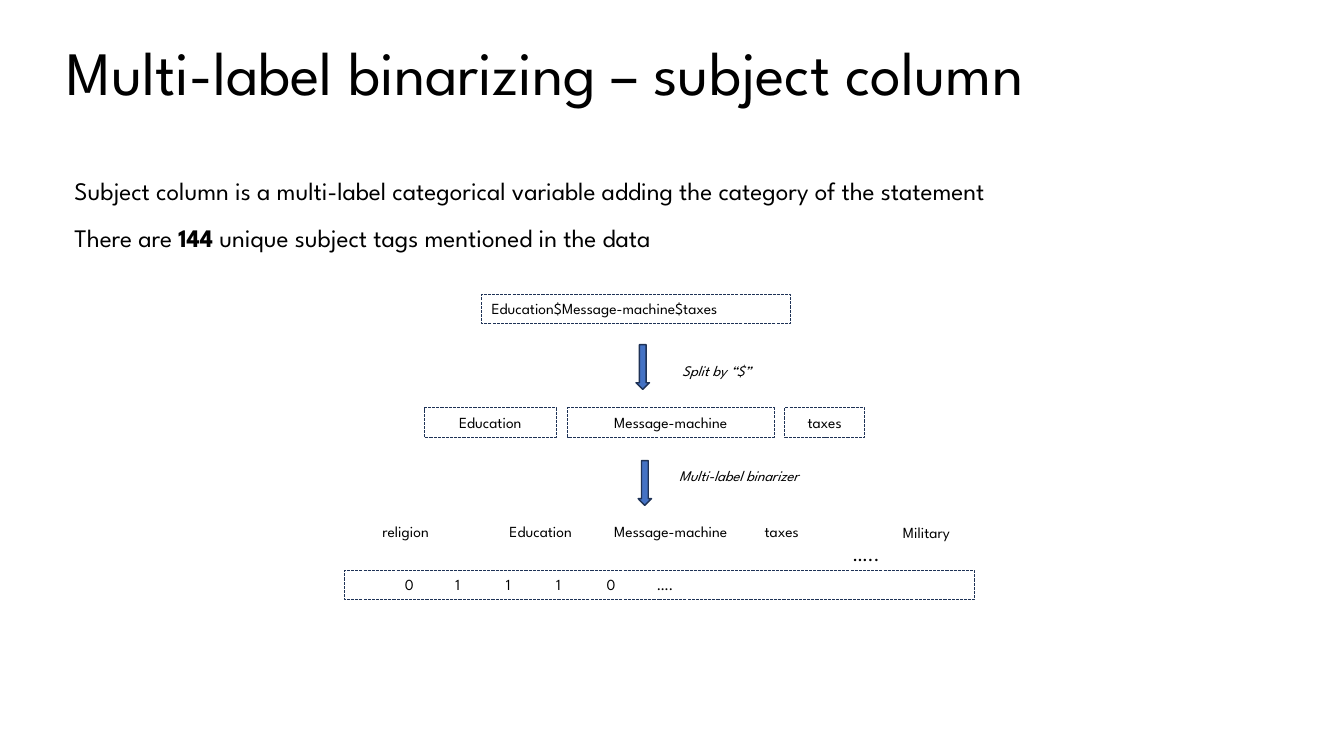
from lxml import etree
from pptx import Presentation
from pptx import util as u
from pptx.dml import color as dml
from pptx.enum import dml as lines, shapes, text
from pptx.oxml import ns

Pt = u.Pt
COLORS = {"ink": "000000", "edge": "1E3256", "arrow": "4472C4"}


def rgb(name):
    return dml.RGBColor.from_string(COLORS[name])


def write(paragraph, runs, font, size=11, align="LEFT", italic=False,
          spacing=None, before=0, tabs=(), tab_align="l"):
    """Fill a paragraph with (text, overrides) runs in the given format."""
    properties = paragraph._p.get_or_add_pPr()
    properties.set("marL", "0")
    properties.set("indent", "0")
    etree.SubElement(properties, ns.qn("a:buNone"))
    if tabs:
        stops = etree.SubElement(properties, ns.qn("a:tabLst"))
        for stop in tabs:
            etree.SubElement(stops, ns.qn("a:tab"), pos=str(int(Pt(stop))), algn=tab_align)
    paragraph.alignment = getattr(text.PP_ALIGN, align)
    paragraph.space_before = Pt(before)
    if spacing:
        paragraph.line_spacing = spacing
    for words, overrides in [(runs, {})] if isinstance(runs, str) else runs:
        run = paragraph.add_run()
        run.text = words
        run.font.name = font
        run.font.size = Pt(overrides.get("size", size))
        run.font.bold = overrides.get("bold", False)
        run.font.italic = italic
        run.font.color.rgb = rgb("ink")


class Deck:
    """Holds the style and the current slide."""

    def __init__(self, font, width, height):
        self.font = font
        self.file = Presentation()
        self.file.slide_width, self.file.slide_height = Pt(width), Pt(height)
        self.slide = self.file.slides.add_slide(self.file.slide_layouts[1])

    def fill_placeholder(self, holder, place, paragraphs, anchor, **style):
        holder.left, holder.top, holder.width, holder.height = map(Pt, place)
        frame = holder.text_frame
        frame.auto_size = text.MSO_AUTO_SIZE.NONE
        frame.vertical_anchor = anchor
        for index, runs in enumerate(paragraphs):
            paragraph = frame.add_paragraph() if index else frame.paragraphs[0]
            write(paragraph, runs, self.font, before=10 if index else 0, **style)

    def title(self, place, heading):
        self.fill_placeholder(self.slide.shapes.title, place, [heading],
                              text.MSO_ANCHOR.MIDDLE, size=44, spacing=0.9)

    def body(self, place, paragraphs):
        self.fill_placeholder(self.slide.placeholders[1], place, paragraphs,
                              text.MSO_ANCHOR.TOP, size=18, spacing=1.1)

    def set_text(self, shape, runs, style):
        frame = shape.text_frame
        frame.word_wrap = True
        frame.auto_size = text.MSO_AUTO_SIZE.SHAPE_TO_FIT_TEXT
        frame.vertical_anchor = text.MSO_ANCHOR.TOP
        write(frame.paragraphs[0], runs, self.font, **style)

    def outline(self, kind, place, weight):
        shape = self.slide.shapes.add_shape(kind, *map(Pt, place))
        shape.shadow.inherit = False
        shape.line.color.rgb = rgb("edge")
        shape.line.width = Pt(weight)
        return shape

    def box(self, left, top, width, runs, **style):
        box = self.outline(shapes.MSO_SHAPE.RECTANGLE, (left, top, width, 21), 0.75)
        box.fill.background()
        box.line.dash_style = lines.MSO_LINE.SQUARE_DOT
        self.set_text(box, runs, style)

    def label(self, left, top, width, runs, height=21, **style):
        label = self.slide.shapes.add_textbox(*map(Pt, (left, top, width, height)))
        self.set_text(label, runs, style)

    def arrow(self, left, top):
        arrow = self.outline(shapes.MSO_SHAPE.DOWN_ARROW, (left, top, 9.6, 32), 1)
        arrow.fill.solid()
        arrow.fill.fore_color.rgb = rgb("arrow")


def main():
    deck = Deck("League Spartan", 960, 540)
    deck.title((40.3, 1.4, 828, 105.8), "Multi-label binarizing – subject column")
    deck.body((46, 119.5, 828, 343.4), [
        "Subject column is a multi-label categorical variable adding the category of the statement",
        [("There are ", {}), ("144", {"bold": True}),
         (" unique subject tags mentioned in the data", {})],
    ])

    deck.box(344, 210.2, 220.5, "Education$Message-machine$taxes")
    deck.arrow(454.3, 246.2)
    deck.label(480.2, 254.9, 80.6, "Split by “$”", size=10.5, italic=True)

    for tag, left, width in (("Education", 303.1, 94.3),
                             ("Message-machine", 405.4, 147.6),
                             ("taxes", 560.5, 57.2)):
        deck.box(left, 291.4, width, tag, align="CENTER")
    deck.arrow(455.8, 329)
    deck.label(478.1, 329.8, 115.2, "Multi-label binarizer", size=10.5, italic=True)

    for column, left, width in (("religion", 242.6, 94.3),
                                ("Education", 339.1, 94.3),
                                ("Message-machine", 405.4, 147.6),
                                ("taxes", 529.9, 57)):
        deck.label(left, 369.7, width, column, align="CENTER")
    deck.label(601.9, 370.1, 94.3, [("\tMilitary\t", {}), ("…..", {"size": 14})],
               height=24.5, tabs=(4.5, 56))
    deck.box(246.2, 407.5, 450, "\t0\t1\t1\t1\t0\t….",
             tabs=(27.5, 103.5, 183, 259.5, 316.5, 377.5), tab_align="ctr")
    deck.file.save("out.pptx")


if __name__ == "__main__":
    main()
